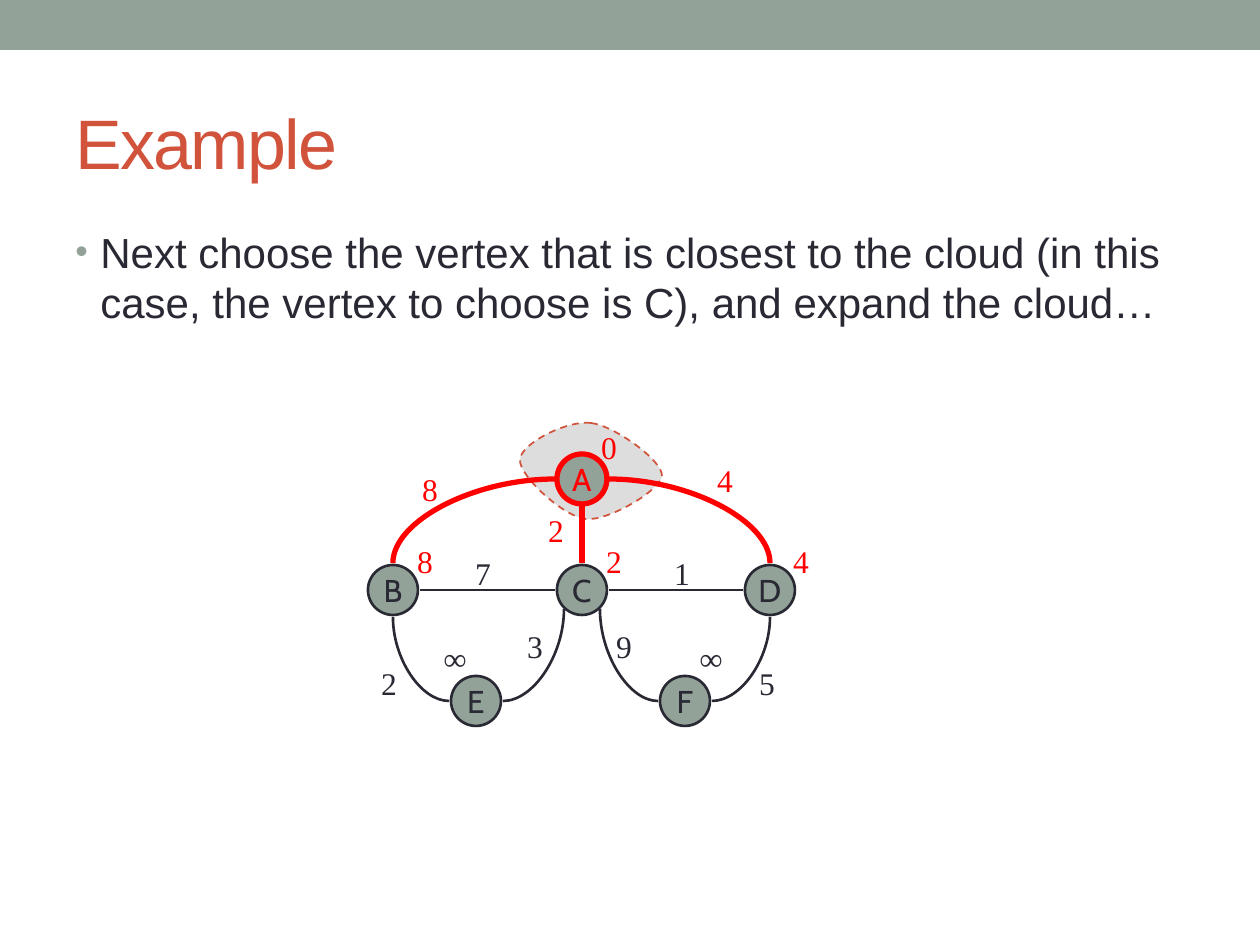
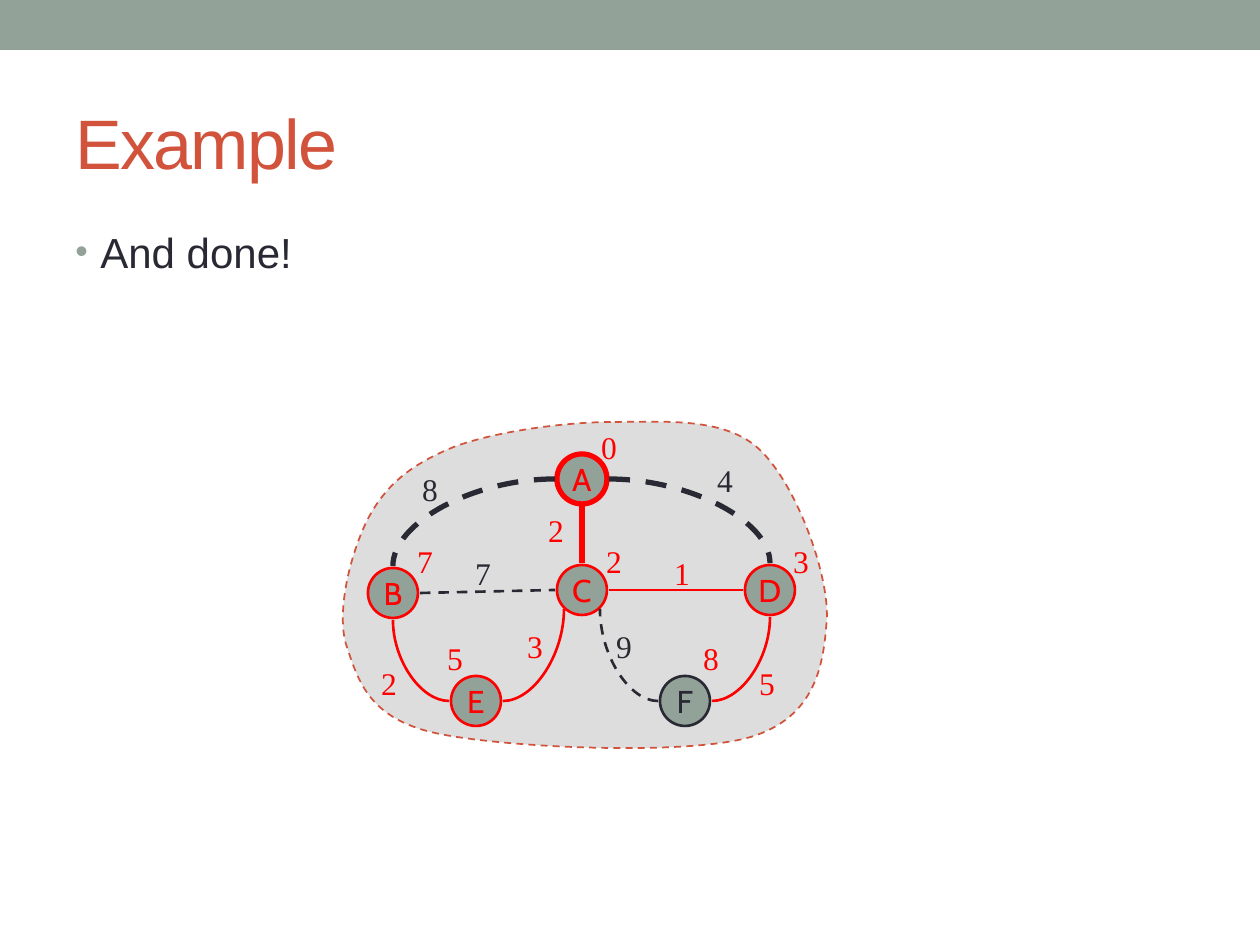
from lxml import etree
from pptx import Presentation
from pptx.dml.color import RGBColor
from pptx.enum import dml, shapes, text
from pptx.oxml import ns
from pptx import util as u

SAGE, RUST, INK, RED, GREY = "93A299", "D2533C", "292934", "FF0000", "DDDDDD"
SANS, NODE, SERIF = "Arial", "Cabin", "Times New Roman"
WIDE, HIGH = 1260, 945
SIZE = 50  # node diameter

# Centres of the nodes and of their distance labels, inside the graph box
NODES = {
    "A": ((252, 69), (279, 37)),
    "B": ((63, 180), (95, 151)),
    "C": ((252, 180), (284, 151)),
    "D": ((440, 180), (471, 151)),
    "E": ((146, 291), (125, 248)),
    "F": ((355, 291), (381, 248)),
}
SIDES = {"n": (0, -27), "s": (0, 27), "w": (-27, 0), "e": (27, 0),
         "sw": (-18, 19), "se": (18, 19)}
# Ends, the sides they leave from, weight, centre of the weight
EDGES = [
    ("AB", "w", "n", "8", (100, 79)),
    ("AD", "e", "n", "4", (395, 70)),
    ("AC", "s", "n", "2", (226, 120)),
    ("BC", "e", "w", "7", (153, 163)),
    ("CD", "e", "w", "1", (352, 163)),
    ("EB", "w", "s", "2", (59, 273)),
    ("EC", "e", "sw", "3", (205, 236)),
    ("FC", "w", "se", "9", (294, 236)),
    ("FD", "e", "s", "5", (437, 273)),
]
# Cloud outlines: a start, then three points for each curve
SMALL = [(261, 13), (285, 16), (333, 51), (332, 66),
         (330, 81), (277, 112), (255, 109),
         (231, 105), (189, 65), (190, 50),
         (190, 34), (237, 10), (261, 13)]
LARGE = [(285, 12), (335, 12), (396, 7), (430, 40),
         (465, 73), (498, 160), (497, 207),
         (494, 255), (486, 307), (421, 327),
         (357, 346), (173, 338), (105, 323),
         (38, 308), (28, 270), (16, 234),
         (6, 199), (22, 139), (39, 107),
         (57, 74), (82, 54), (124, 37),
         (164, 22), (233, 12), (285, 12)]


def px(n):
    return u.Emu(round(n * 914400 / 126))


def hue(code):
    return RGBColor.from_string(code)


def sub(node, tag, **attrs):
    return etree.SubElement(node, ns.qn(tag), attrs)


def write(shape, words, size=18, font=SERIF, color=INK, bold=False,
          align="CENTER", anchor="TOP", wrap=False, track=None):
    frame = shape.text_frame
    frame.word_wrap = wrap
    frame.auto_size = text.MSO_AUTO_SIZE.NONE
    frame.vertical_anchor = text.MSO_ANCHOR[anchor]
    para = frame.paragraphs[0]
    para.alignment = text.PP_ALIGN[align]
    run = para.add_run()
    run.text = words
    run.font.size, run.font.name, run.font.bold = u.Pt(size), font, bold
    run.font.color.rgb = hue(color)
    if track:
        run.font._element.set("spc", str(track))
    return para


def stroke(line, color, width, dash=False):
    line.color.rgb = hue(color)
    line.width = u.Pt(width)
    if dash:
        line.dash_style = dml.MSO_LINE.DASH


def paint(shape, color):
    shape.shadow.inherit = False
    shape.fill.solid()
    shape.fill.fore_color.rgb = hue(color)


def label(slide, x, y, words, **style):
    """Text centred on a point."""
    box = slide.shapes.add_textbox(px(x - 21), px(y - 25), px(42), px(50))
    write(box, words, **style)


def band(prs, slide):
    """Top band, shared by all slides through the master."""
    bar = slide.shapes.add_shape(shapes.MSO_SHAPE.RECTANGLE,
                                 0, 0, px(WIDE), px(50))
    paint(bar, SAGE)
    bar.line.fill.background()
    prs.slide_master.shapes._spTree.append(bar._element)


def head(slide, x, y, w, h, words):
    title = slide.shapes.title
    title.left, title.top, title.width, title.height = map(px, (x, y, w, h))
    write(title, words, size=40, font=SANS, color=RUST, align="LEFT",
          anchor="MIDDLE", wrap=True, track=-100)


def body(slide, x, y, w, h, words):
    box = slide.shapes.add_textbox(*map(px, (x, y, w, h)))
    para = write(box, words, size=24, font=SANS, align="LEFT", wrap=True)
    para.space_before = u.Pt(4.8)
    # Bullet with a hanging indent
    props = para._p.get_or_add_pPr()
    props.set("marL", str(px(25)))
    props.set("indent", str(px(-25)))
    sub(sub(props, "a:buClr"), "a:srgbClr", val=SAGE)
    sub(props, "a:buSzPct", val="85000")
    sub(props, "a:buFont", typeface=SANS)
    sub(props, "a:buChar", char="•")


def cloud(slide, x, y, points):
    start, *rest = [(px(x + a), px(y + b)) for a, b in points]
    pen = slide.shapes.build_freeform(*start)
    pen.add_line_segments(rest, close=True)
    blob = pen.convert_to_shape()
    paint(blob, GREY)
    stroke(blob.line, RUST, 1, dash=True)
    # Turn each three line points into one Bézier curve
    legs = list(blob._element.iter(ns.qn("a:lnTo")))
    for i in range(0, len(legs), 3):
        curve = etree.Element(ns.qn("a:cubicBezTo"))
        legs[i].addprevious(curve)
        for leg in legs[i:i + 3]:
            curve.append(leg[0])
            leg.getparent().remove(leg)


def node(slide, x, y, name, color, width):
    disc = slide.shapes.add_shape(
        shapes.MSO_SHAPE.OVAL, px(x - SIZE / 2), px(y - SIZE / 2),
        px(SIZE), px(SIZE))
    paint(disc, SAGE)
    stroke(disc.line, color, width)
    write(disc, name, font=NODE, color=color, anchor="MIDDLE")


def edge(slide, tail, tip, bent, color, width, dash):
    kind = shapes.MSO_CONNECTOR.CURVE if bent else shapes.MSO_CONNECTOR.STRAIGHT
    link = slide.shapes.add_connector(kind, *map(px, tail + tip))
    props = link._element.spPr
    if bent:  # one quarter bend: leaves level, arrives upright
        props.find(ns.qn("a:prstGeom")).set("prst", "curvedConnector2")
    stroke(link.line, color, width, dash)
    sub(props, "a:effectLst")


def graph(slide, x, y, outline, far, hot, tree, drop, shift):
    """Graph at x, y; hot nodes and tree edges are red, drop edges dashed."""
    cloud(slide, x, y, outline)
    spots = {name: (x + a, y + b + shift.get(name, 0))
             for name, ((a, b), _) in NODES.items()}
    for name, spot in spots.items():
        node(slide, *spot, name, RED if name in hot else INK,
             3 if name == "A" else 1.5)
    for (one, two), out, into, weight, (a, b) in EDGES:
        color = RED if one + two in tree else INK
        tail, tip = [tuple(p + d for p, d in zip(spots[end], SIDES[side]))
                     for end, side in ((one, out), (two, into))]
        bent = out in "we" and into not in "we"
        edge(slide, tail, tip, bent, color, 3 if one == "A" else 1.5,
             one + two in drop)
        label(slide, x + a, y + b, weight, color=color)
    for (_, (a, b)), value in zip(NODES.values(), far):
        open_ = value == "∞"
        label(slide, x + a, y + b, value, color=INK if open_ else RED,
              bold=open_)


def main():
    prs = Presentation()
    prs.slide_width, prs.slide_height = px(WIDE), px(HIGH)
    steps = [
        ("Next choose the vertex that is closest to the cloud (in this case, "
         "the vertex to choose is C), and expand the cloud…",
         dict(outline=SMALL, far="0824∞∞", hot="A",
              tree={"AB", "AC", "AD"}, drop=set(), shift={})),
        ("And done!",
         dict(outline=LARGE, far="072358", hot="ABCDE",
              tree={"AC", "CD", "EB", "EC", "FD"},
              drop={"AB", "AD", "BC", "FC"}, shift={"B": 3})),
    ]
    for i, (words, state) in enumerate(steps):
        slide = prs.slides.add_slide(prs.slide_layouts[5])
        if i == 0:
            band(prs, slide)
        head(slide, 63, 73, 1134, 136, "Example")
        body(slide, 63, 220, 1134, 672, words)
        graph(slide, 330, 410, **state)
    prs.save("out.pptx")


if __name__ == "__main__":
    main()
